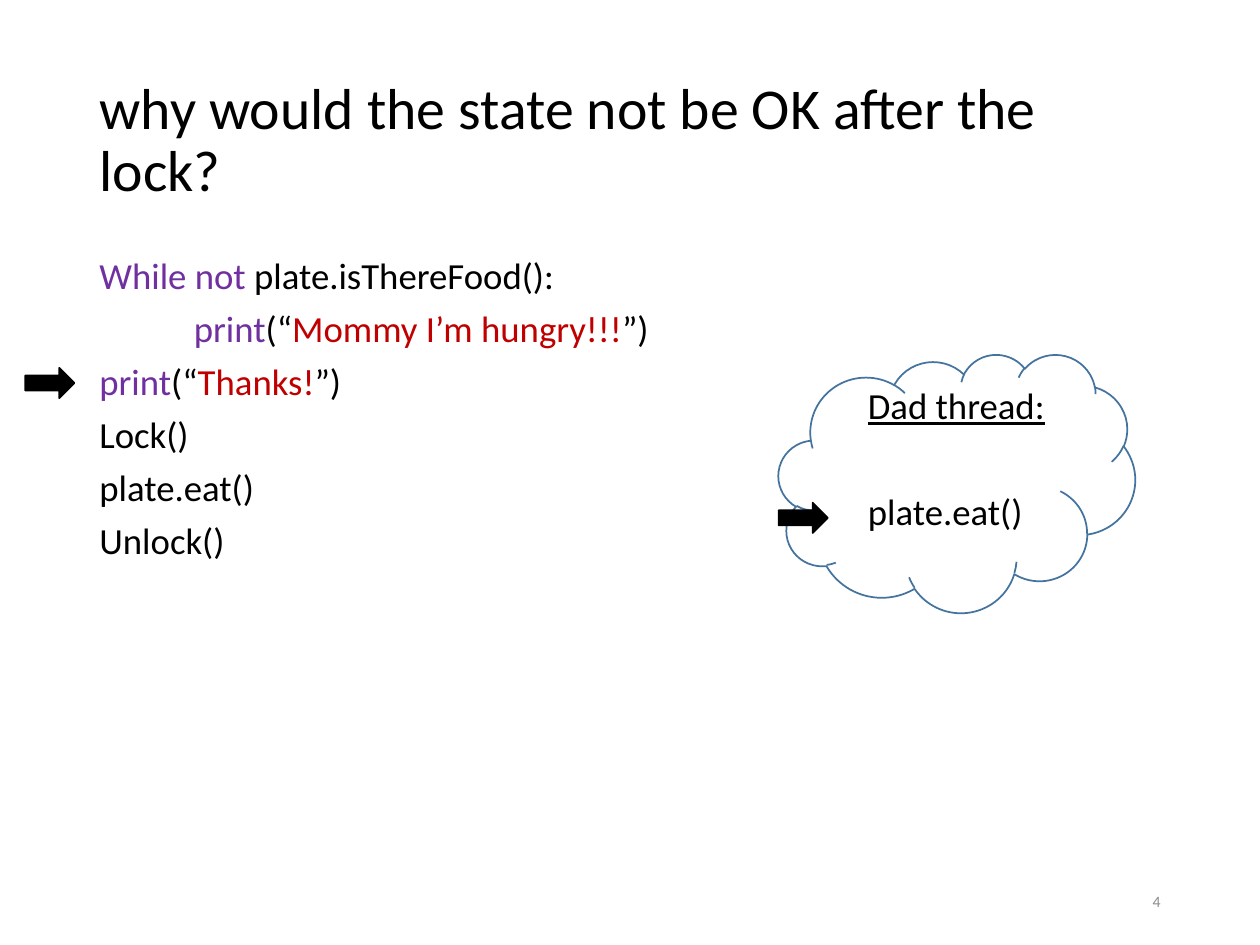
from dataclasses import dataclass

from pptx import Presentation
from pptx.dml.color import RGBColor
from pptx.enum.shapes import MSO_SHAPE
from pptx.enum.text import MSO_ANCHOR, MSO_AUTO_SIZE, PP_ALIGN
from pptx.util import Inches, Pt

CLOUD, RIGHT_ARROW = MSO_SHAPE.CLOUD, MSO_SHAPE.RIGHT_ARROW
TOP, MIDDLE = MSO_ANCHOR.TOP, MSO_ANCHOR.MIDDLE
LEFT, RIGHT = PP_ALIGN.LEFT, PP_ALIGN.RIGHT
NO_AUTOFIT = MSO_AUTO_SIZE.NONE
TITLE_ONLY = 5


@dataclass(frozen=True)
class Theme:
    """Colours, font and type sizes of the slide."""
    font: str = "Calibri"
    text: RGBColor = RGBColor(0, 0, 0)
    keyword: RGBColor = RGBColor(0x70, 0x30, 0xA0)
    string: RGBColor = RGBColor(0xC0, 0, 0)
    muted: RGBColor = RGBColor(0x8C, 0x8C, 0x8C)
    outline: RGBColor = RGBColor(0x43, 0x73, 0x9E)
    title_size: float = 33
    body_size: float = 21
    number_size: float = 9
    line_spacing: float = 0.9
    space_before: float = 7.5


THEME = Theme()

# Each line: indent in inches, then its runs as (text, colour).
CODE_LINES = [
    (0, [("While not ", THEME.keyword), ("plate.isThereFood():", THEME.text)]),
    (0.75, [("print", THEME.keyword), ("(“", THEME.text),
            ("Mommy I’m hungry!!!", THEME.string), ("”)", THEME.text)]),
    (0, [("print", THEME.keyword), ("(“", THEME.text),
         ("Thanks!", THEME.string), ("”)", THEME.text)]),
    (0, [("Lock()", THEME.text)]),
    (0, [("plate.eat()", THEME.text)]),
    (0, [("Unlock()", THEME.text)]),
]


def place(shape, box):
    """Move a shape to a box of left, top, width and height in inches."""
    shape.left, shape.top, shape.width, shape.height = map(Inches, box)


def prepare_frame(shape, anchor):
    """Set wrapping and anchoring, and return the text frame."""
    frame = shape.text_frame
    frame.word_wrap = True
    frame.auto_size = NO_AUTOFIT
    frame.vertical_anchor = anchor
    return frame


def add_text_box(slide, box, anchor=TOP):
    """Add a wrapping text box and return its frame."""
    return prepare_frame(slide.shapes.add_textbox(*map(Inches, box)), anchor)


def add_run(paragraph, text, size, color=THEME.text, underline=None):
    """Append one formatted run."""
    run = paragraph.add_run()
    run.text = text
    run.font.name = THEME.font
    run.font.size = Pt(size)
    run.font.color.rgb = color
    run.font.underline = underline


def body_paragraph(frame, index, space_before=THEME.space_before):
    """Return a body paragraph, using the frame's first one for index 0."""
    paragraph = frame.add_paragraph() if index else frame.paragraphs[0]
    paragraph.line_spacing = THEME.line_spacing
    paragraph.space_before = Pt(space_before)
    return paragraph


def add_title(slide, box):
    """Fill the title placeholder."""
    title = slide.shapes.title
    place(title, box)
    paragraph = prepare_frame(title, MIDDLE).paragraphs[0]
    paragraph.alignment = LEFT
    paragraph.line_spacing = THEME.line_spacing
    add_run(paragraph, "why would the state not be OK after the lock?", THEME.title_size)


def add_code(slide, box):
    """Write the coloured code lines."""
    frame = add_text_box(slide, box)
    for index, (indent, runs) in enumerate(CODE_LINES):
        paragraph = body_paragraph(frame, index)
        if indent:
            paragraph._p.get_or_add_pPr().set("marL", str(Inches(indent)))
        for text, color in runs:
            add_run(paragraph, text, THEME.body_size, color)


def add_pointer(slide, left, top):
    """Add a black arrow that marks the current line."""
    arrow = slide.shapes.add_shape(RIGHT_ARROW, *map(Inches, (left, top, 0.39, 0.24)))
    arrow.shadow.inherit = False
    arrow.fill.solid()
    arrow.fill.fore_color.rgb = THEME.text
    arrow.line.color.rgb = THEME.text
    arrow.line.width = Pt(1)


def add_thread_cloud(slide, box):
    """Draw the other thread as a cloud with text and a pointer."""
    left, top, width, height = box
    frame = add_text_box(slide, (left + 0.61, top + 0.22, 2.3, 1.48))
    add_run(body_paragraph(frame, 0), "Dad thread:", THEME.body_size, underline=True)
    add_run(body_paragraph(frame, 1, 38), "plate.eat()", THEME.body_size)
    cloud = slide.shapes.add_shape(CLOUD, *map(Inches, box))
    cloud.shadow.inherit = False
    cloud.fill.background()
    cloud.line.color.rgb = THEME.outline
    cloud.line.width = Pt(1)
    add_pointer(slide, left, top + 1.18)


def add_slide_number(slide, box):
    """Write the slide number at the lower right."""
    paragraph = add_text_box(slide, box, MIDDLE).paragraphs[0]
    paragraph.alignment = RIGHT
    add_run(paragraph, "4", THEME.number_size, THEME.muted)


def build():
    """Build and save the presentation."""
    presentation = Presentation()
    presentation.slide_width, presentation.slide_height = Inches(10), Inches(7.5)
    slide = presentation.slides.add_slide(presentation.slide_layouts[TITLE_ONLY])
    add_title(slide, (0.69, 0.4, 8.62, 1.45))
    add_code(slide, (0.69, 2, 8.62, 4.76))
    add_slide_number(slide, (7.06, 6.95, 2.25, 0.4))
    add_thread_cloud(slide, (6.18, 2.81, 2.83, 2.05))
    add_pointer(slide, 0.2, 2.92)
    presentation.save("out.pptx")


build()
